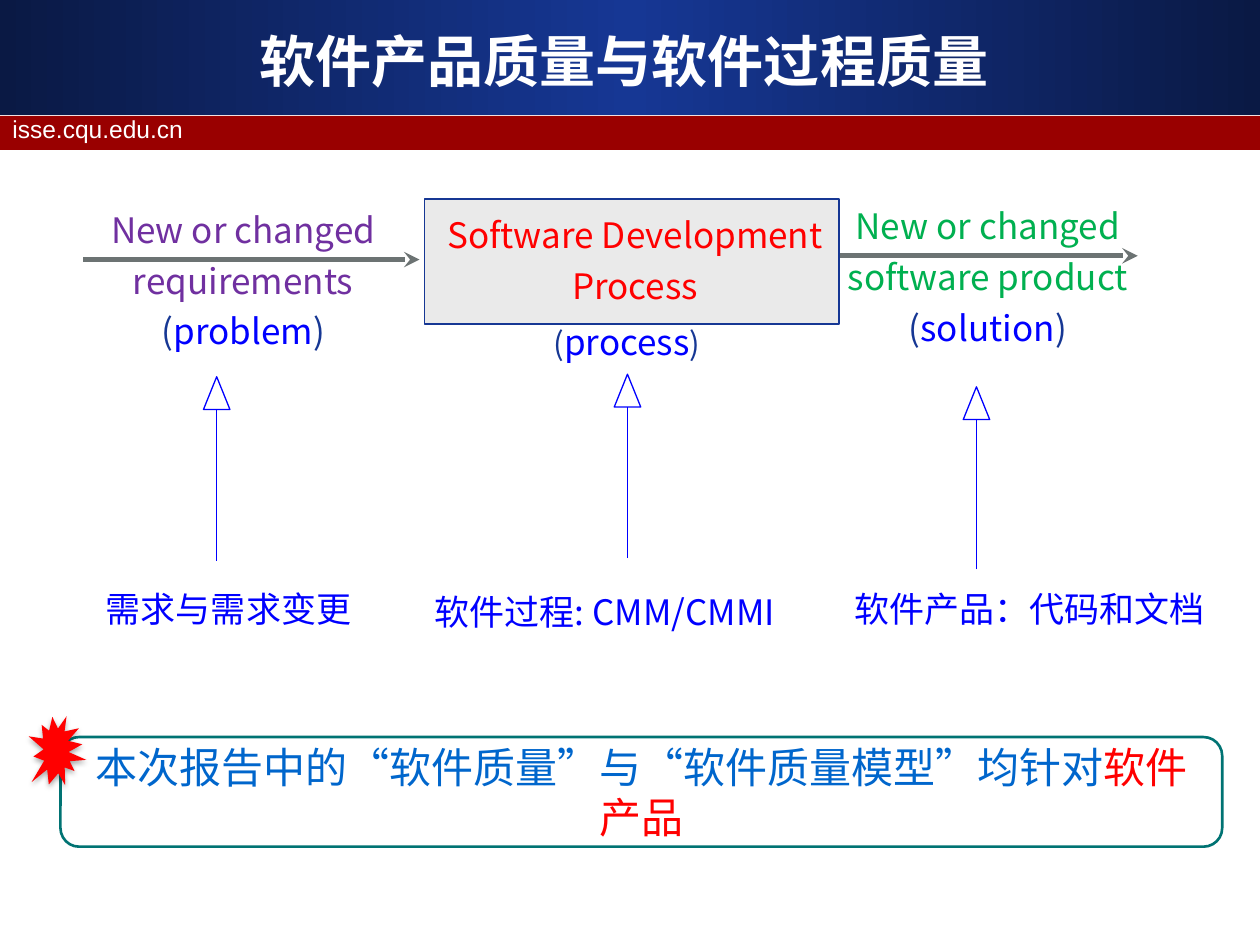
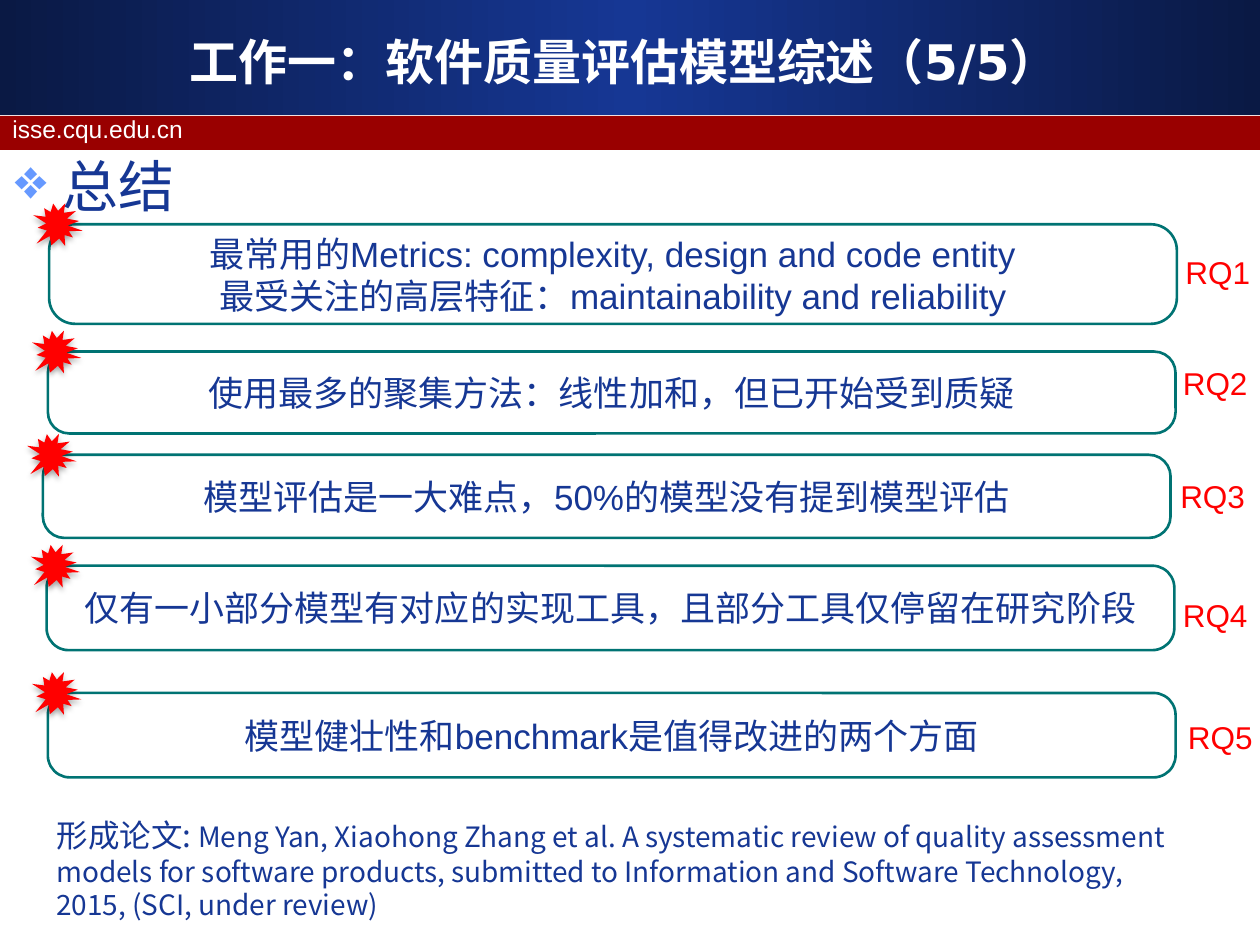
import copy

import lxml.etree
import pptx
import pptx.dml.color
import pptx.enum.shapes
import pptx.enum.text
import pptx.oxml.ns
import pptx.util

Inches, Pt = pptx.util.Inches, pptx.util.Pt
qn = pptx.oxml.ns.qn
KINDS = pptx.enum.shapes.MSO_SHAPE
ALIGN = pptx.enum.text.PP_ALIGN
FIT = pptx.enum.text.MSO_AUTO_SIZE
MIDDLE = pptx.enum.text.MSO_ANCHOR.MIDDLE

NAVY, DARK, WINE, TEAL = "163794", "0A1944", "990000", "007373"
WHITE, RED, BLUE, GRAY = "FFFFFF", "FF0000", "0000FF", "6C7373"
PURPLE, GREEN, SKY, PALE = "7030A0", "00B050", "0066CC", "EAEAEA"
SANS, HAN, HEAD = "Arial", "Noto Sans CJK SC", "DejaVu Sans"
INSET = (0.1, 0.05)

SITE = "isse.cqu.edu.cn"

# Each paragraph is a list of runs: (text, colour, size), the last two optional.
FLOW = {
    "title": "软件产品质量与软件过程质量",
    "claim": [[("本次报告中的“软件质量”与“软件质量模型”均针对",), ("软件产品", RED)]],
    "box": (3.37, 1.58, 3.29, 0.99),
    "steps": [
        ((0.72, 1.66, 2.42, 1.2), PURPLE,
         [[("New or changed",)], [("requirements",)],
          [("(", NAVY), ("problem", BLUE), (")", NAVY)]]),
        ((3.4, 1.7, 3.28, 0.79), RED,
         [[("Software Development",)], [("Process",)]]),
        ((4.28, 2.55, 1.39, 0.38), NAVY,
         [[("(", NAVY, 18), ("process", BLUE, 20), (")", NAVY, 18)]]),
        ((6.59, 1.63, 2.5, 1.2), GREEN,
         [[("New or changed",)], [("software product",)],
          [("(", NAVY), ("solution", BLUE), (")", NAVY)]]),
    ],
    "links": [(0.66, 3.33, 2.06), (6.67, 9.03, 2.03)],
    "notes": [
        ((0.84, 4.66, 1.96, 0.34), "需求与需求变更"),
        ((3.45, 4.69, 2.94, 0.34), "软件过程: CMM/CMMI"),
        ((6.78, 4.66, 2.8, 0.34), "软件产品：代码和文档"),
    ],
    "rises": [(1.72, 2.99, 4.45), (4.98, 2.97, 4.43), (7.75, 3.07, 4.52)],
}

RECAP = {
    "title": "工作一：软件质量评估模型综述（5/5）",
    "head": "总结",
    # left, top, height of the box; left, top of its tag; lines
    "rows": [
        (0.39, 1.78, 0.79, 9.3, 1.96,
         ["最常用的Metrics: complexity, design and code entity",
          "最受关注的高层特征：maintainability and reliability"]),
        (0.38, 2.79, 0.65, 9.28, 2.84,
         ["使用最多的聚集方法：线性加和，但已开始受到质疑"]),
        (0.34, 3.61, 0.66, 9.26, 3.74,
         ["模型评估是一大难点，50%的模型没有提到模型评估"]),
        (0.37, 4.49, 0.67, 9.28, 4.68,
         ["仅有一小部分模型有对应的实现工具，且部分工具仅停留在研究阶段"]),
        (0.38, 5.5, 0.67, 9.32, 5.65,
         ["模型健壮性和benchmark是值得改进的两个方面"]),
    ],
    "paper": [[
        ("形成论文: ", NAVY, 18),
        ("Meng Yan, Xiaohong Zhang et al. A systematic review of quality "
         "assessment models for software products, submitted to Information "
         "and Software Technology, 2015, (SCI, under review)", NAVY, 16)]],
}


def tint(code):
    return pptx.dml.color.RGBColor.from_string(code)


def add(parent, tag, **attrs):
    node = lxml.etree.SubElement(parent, qn(tag))
    for key, value in attrs.items():
        node.set(key, str(value))
    return node


def style(para, size, color, face, bold=False):
    font = para.font
    font.size, font.bold = Pt(size), bold
    font.color.rgb = tint(color)
    font.name = face
    add(font._element, "a:ea", typeface=HAN)


def write(frame, paras, size, color, face, align=ALIGN.LEFT, lead=None, gap=0):
    """Fill a frame; lead is the exact line pitch, gap the space between paragraphs."""
    for i, runs in enumerate(paras):
        para = frame.add_paragraph() if i else frame.paragraphs[0]
        para.alignment = align
        if lead:
            para.line_spacing = Pt(lead)
        if i and gap:
            para.space_before = Pt(gap)
        style(para, size, color, face)
        for text, *look in runs:
            run = para.add_run()
            run.text = text
            if look:
                run.font.color.rgb = tint(look[0])
            if look[1:]:
                run.font.size = Pt(look[1])


def label(slide, area, paras, size, color, face, wrap=False, inset=INSET, **rest):
    box = slide.shapes.add_textbox(*map(Inches, area))
    frame = box.text_frame
    frame.word_wrap = wrap
    frame.auto_size = FIT.SHAPE_TO_FIT_TEXT
    frame.margin_left = frame.margin_right = Inches(inset[0])
    frame.margin_top = frame.margin_bottom = Inches(inset[1])
    write(frame, paras, size, color, face, **rest)
    return box


def shape(slide, kind, area, fill=None, line=None, width=1):
    item = slide.shapes.add_shape(kind, *map(Inches, area))
    item.shadow.inherit = False
    if fill:
        item.fill.solid()
        item.fill.fore_color.rgb = tint(fill)
    else:
        item.fill.background()
    if line:
        item.line.color.rgb = tint(line)
        item.line.width = Pt(width)
    else:
        item.line.fill.background()
    return item


def stroke(slide, start, end, color, width, arrow=False):
    line = slide.shapes.add_connector(
        pptx.enum.shapes.MSO_CONNECTOR.STRAIGHT, *map(Inches, start + end))
    line.line.color.rgb = tint(color)
    line.line.width = Pt(width)
    if arrow:
        add(line.line._get_or_add_ln(), "a:tailEnd", type="stealth")
    add(line._element.spPr, "a:effectLst")


def seal(slide, area):
    star = shape(slide, KINDS.EXPLOSION1, area, RED)
    star.rotation = 274.1
    glow = star._element.spPr.find(qn("a:effectLst"))
    shade = add(glow, "a:outerShdw", blurRad=Pt(3.1), dist=Pt(1.8),
                dir=5400000, rotWithShape=0)
    add(add(shade, "a:srgbClr", val="000000"), "a:alpha", val=35000)


def card(slide, area, paras, size, color, round_by):
    box = shape(slide, KINDS.ROUNDED_RECTANGLE, area, None, TEAL, 1.5)
    box.adjustments[0] = round_by
    frame = box.text_frame
    frame.word_wrap = True
    frame.vertical_anchor = MIDDLE
    write(frame, paras, size, color, SANS, align=ALIGN.CENTER)


def dress(layout, slide):
    """Draw the bands and site name, then move them behind the layout's parts."""
    band = shape(slide, KINDS.RECTANGLE, (0, 0, 10, 0.91), NAVY)
    band.fill.gradient()
    band.fill.gradient_angle = 0
    stops = band._element.spPr.find(".//" + qn("a:gsLst"))
    stops.insert(1, copy.deepcopy(stops[0]))
    for i, stop in enumerate(band.fill.gradient_stops):
        stop.position = i / 2
        stop.color.rgb = tint(NAVY if i == 1 else DARK)
    strip = shape(slide, KINDS.RECTANGLE, (0, 0.92, 10, 0.27), WINE)
    site = label(slide, (0, 0.86, 9.61, 0.34), [[(SITE,)]], 14, WHITE, SANS, wrap=True)
    for i, part in enumerate((band, strip, site)):
        layout.shapes._spTree.insert(2 + i, part._element)


def start(deck, text, size):
    slide = deck.slides.add_slide(deck.slide_layouts[5])
    title = slide.shapes.title
    title.left, title.top, title.width, title.height = map(
        Inches, (0.33, 0.17, 9.25, 0.62))
    frame = title.text_frame
    frame.text = text
    frame.auto_size = FIT.NONE
    frame.vertical_anchor = MIDDLE
    para = frame.paragraphs[0]
    para.alignment = ALIGN.CENTER
    style(para, size, WHITE, HEAD, True)
    return slide


def draw_flow(slide):
    card(slide, (0.48, 5.85, 9.22, 0.87), FLOW["claim"], 24, SKY, 0.17)
    seal(slide, (0.18, 5.72, 0.55, 0.47))
    shape(slide, KINDS.RECTANGLE, FLOW["box"], PALE, NAVY)
    for area, color, paras in FLOW["steps"]:
        label(slide, area, paras, 20, color, HAN, align=ALIGN.CENTER, lead=20, gap=9)
    for left, right, y in FLOW["links"]:
        stroke(slide, (left, y), (right, y), GRAY, 3, True)
    for area, text in FLOW["notes"]:
        label(slide, area, [[(text,)]], 20, BLUE, HAN, inset=(0, 0))
    wide, high = 0.21, 0.26
    for x, top, foot in FLOW["rises"]:
        stroke(slide, (x, foot), (x, top + high), BLUE, 0.75)
        shape(slide, KINDS.ISOSCELES_TRIANGLE, (x - wide / 2, top, wide, high),
              None, BLUE, 0.75)


def draw_recap(slide):
    head = slide.shapes.add_textbox(*map(Inches, (0.02, 1.15, 9, 0.65)))
    head.text_frame.word_wrap = True
    para = head.text_frame.paragraphs[0]
    props = para._p.get_or_add_pPr()
    props.set("marL", str(Inches(0.38)))
    props.set("indent", str(-Inches(0.38)))
    add(add(props, "a:buClr"), "a:srgbClr", val="6699FF")
    add(props, "a:buChar", char="❖")
    write(head.text_frame, [[(RECAP["head"],)]], 32, NAVY, SANS)
    for i, (left, top, high, tag_x, tag_y, lines) in enumerate(RECAP["rows"], 1):
        card(slide, (left, top, 8.95, high), [[(line,)] for line in lines],
             20, NAVY, 0.26)
        seal(slide, (left - 0.1, top - 0.2, 0.34, 0.4))
        label(slide, (tag_x, tag_y, 0.72, 0.4), [[(f"RQ{i}",)]], 18, RED, SANS,
              align=ALIGN.RIGHT)
    label(slide, (0.35, 6.43, 9.19, 0.94), RECAP["paper"], 16, NAVY, HAN, wrap=True)


def main():
    deck = pptx.Presentation()
    deck.slide_width, deck.slide_height = Inches(10), Inches(7.5)
    flow = start(deck, FLOW["title"], 32)
    dress(deck.slide_layouts[5], flow)
    draw_flow(flow)
    draw_recap(start(deck, RECAP["title"], 28))
    deck.save("out.pptx")


if __name__ == "__main__":
    main()
